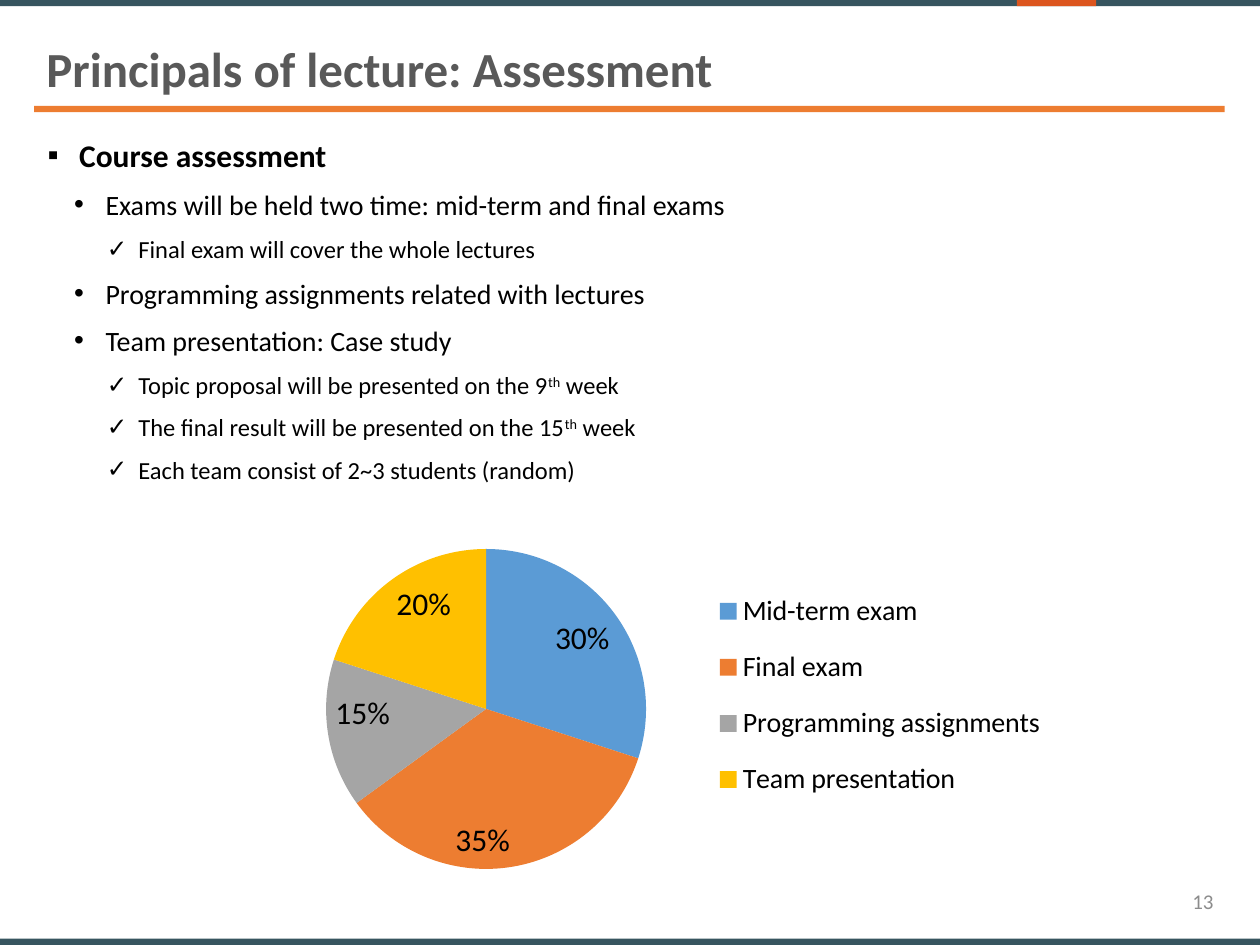
from dataclasses import dataclass

from lxml import etree
from pptx import Presentation
from pptx.chart.data import CategoryChartData
from pptx.dml.color import RGBColor
from pptx.enum.chart import XL_CHART_TYPE, XL_LABEL_POSITION, XL_LEGEND_POSITION
from pptx.enum.shapes import MSO_SHAPE
from pptx.enum.text import MSO_ANCHOR, PP_ALIGN
from pptx.oxml.ns import qn
from pptx.util import Inches, Pt

RECTANGLE = MSO_SHAPE.RECTANGLE
PIE = XL_CHART_TYPE.PIE
INSIDE_END = XL_LABEL_POSITION.INSIDE_END
LEGEND_RIGHT = XL_LEGEND_POSITION.RIGHT
TOP, MIDDLE = MSO_ANCHOR.TOP, MSO_ANCHOR.MIDDLE
LEFT, RIGHT = PP_ALIGN.LEFT, PP_ALIGN.RIGHT

FONT = "Calibri"
COLORS = {
    "teal": "37555F",
    "red": "DC551E",
    "orange": "ED7D31",
    "title": "595959",
    "text": "000000",
    "number": "8C8C8C",
    "blue": "5B9BD5",
    "gray": "A5A5A5",
    "yellow": "FFC000",
}


@dataclass
class Box:
    left: float
    top: float
    width: float
    height: float

    def lengths(self):
        return [Inches(v) for v in (self.left, self.top, self.width, self.height)]


@dataclass
class Bar:
    box: Box
    color: str


@dataclass
class Level:
    bullet: str
    bullet_font: str
    indent: float
    size: int
    before: int
    bold: bool = False


@dataclass
class Item:
    level: int
    text: str
    superscript: str = ""
    tail: str = ""


@dataclass
class Slice:
    name: str
    value: int
    color: str


BARS = [
    Bar(Box(-0.51, -0.01, 10.99, 0.06), "teal"),
    Bar(Box(8.07, -0.01, 0.63, 0.06), "red"),
    Bar(Box(-0.51, 7.45, 10.99, 0.06), "teal"),
    Bar(Box(0.27, 0.84, 9.45, 0.05), "orange"),
]
LEVELS = [
    Level("▪", "Arial", 0.25, 18, 10, True),
    Level("•", "Arial", 0.46, 16, 5),
    Level("✓", "Arial", 0.72, 14, 5),
]
ITEMS = [
    Item(0, "Course assessment"),
    Item(1, "Exams will be held two time: mid-term and final exams"),
    Item(2, "Final exam will cover the whole lectures"),
    Item(1, "Programming assignments related with lectures"),
    Item(1, "Team presentation: Case study"),
    Item(2, "Topic proposal will be presented on the 9", "th", " week"),
    Item(2, "The final result will be presented on the 15", "th", " week"),
    Item(2, "Each team consist of 2~3 students (random)"),
]
SLICES = [
    Slice("Mid-term exam", 30, "blue"),
    Slice("Final exam", 35, "orange"),
    Slice("Programming assignments", 15, "gray"),
    Slice("Team presentation", 20, "yellow"),
]


def rgb(name: str) -> RGBColor:
    return RGBColor.from_string(COLORS[name])


def style_font(font, size: int, color: str, bold: bool = False) -> None:
    font.name = FONT
    font.size = Pt(size)
    font.bold = bold
    font.color.rgb = rgb(color)


def add_bar(s, bar: Bar) -> None:
    sp = s.shapes.add_shape(RECTANGLE, *bar.box.lengths())
    sp.shadow.inherit = False
    sp.fill.solid()
    sp.fill.fore_color.rgb = rgb(bar.color)
    sp.line.fill.background()


def add_text_frame(s, box: Box, anchor=TOP):
    tf = s.shapes.add_textbox(*box.lengths()).text_frame
    tf.word_wrap = True
    tf.vertical_anchor = anchor
    return tf


def add_line(s, box: Box, text: str, size: int, color: str, bold=False, align=LEFT, anchor=TOP) -> None:
    p = add_text_frame(s, box, anchor).paragraphs[0]
    p.text = text
    p.alignment = align
    p.line_spacing = 0.9 if bold else 1.0
    style_font(p.runs[0].font, size, color, bold)


def set_bullet(p, level: Level) -> None:
    pPr = p._p.get_or_add_pPr()
    pPr.set("marL", str(Inches(level.indent)))
    pPr.set("indent", str(-Inches(0.25)))
    etree.SubElement(pPr, qn("a:buFont")).set("typeface", level.bullet_font)
    etree.SubElement(pPr, qn("a:buChar")).set("char", level.bullet)


def add_items(s, box: Box, items: list[Item]) -> None:
    tf = add_text_frame(s, box)
    for i, item in enumerate(items):
        level = LEVELS[item.level]
        p = tf.add_paragraph() if i else tf.paragraphs[0]
        p.level = item.level
        p.line_spacing = 1.14
        p.space_before = Pt(level.before)
        set_bullet(p, level)
        for text in filter(None, (item.text, item.superscript, item.tail)):
            r = p.add_run()
            r.text = text
            style_font(r.font, level.size, "text", level.bold)
            if text == item.superscript:
                r._r.get_or_add_rPr().set("baseline", "30000")


def set_layout(parent, index: int, box: Box, inner: bool = False) -> None:
    for old in parent.findall(qn("c:layout")):
        parent.remove(old)
    layout = etree.Element(qn("c:layout"))
    parent.insert(index, layout)
    manual = etree.SubElement(layout, qn("c:manualLayout"))
    values = [("layoutTarget", "inner")] if inner else []
    values += [("xMode", "edge"), ("yMode", "edge")]
    values += [("x", box.left), ("y", box.top), ("w", box.width), ("h", box.height)]
    for tag, value in values:
        etree.SubElement(manual, qn(f"c:{tag}")).set("val", str(value))


def add_pie(s, box: Box, slices: list[Slice]) -> None:
    data = CategoryChartData()
    data.categories = [sl.name for sl in slices]
    data.add_series("Series 1", [sl.value for sl in slices])
    chart = s.shapes.add_chart(PIE, *box.lengths(), data).chart
    chart.has_title = False
    style_font(chart.font, 18, "text")
    chart.has_legend = True
    legend = chart.legend
    legend.position = LEGEND_RIGHT
    legend.include_in_layout = False
    style_font(legend.font, 16, "text")
    plot = chart.plots[0]
    plot.vary_by_categories = True
    for i, sl in enumerate(slices):
        fill = plot.series[0].points[i].format.fill
        fill.solid()
        fill.fore_color.rgb = rgb(sl.color)
    plot.has_data_labels = True
    labels = plot.data_labels
    labels.show_value = False
    labels.show_percentage = True
    labels.number_format = "0%"
    labels.number_format_is_linked = False
    labels.position = INSIDE_END
    style_font(labels.font, 18, "text")
    plot_area = chart.element.find(".//" + qn("c:plotArea"))
    set_layout(plot_area, 0, Box(0.17, 0.12, 0.35, 0.83), inner=True)
    set_layout(chart.element.find(".//" + qn("c:legend")), 1, Box(0.59, 0.18, 0.37, 0.64))


def main() -> None:
    prs = Presentation()
    prs.slide_width, prs.slide_height = Inches(10), Inches(7.5)
    s = prs.slides.add_slide(prs.slide_layouts[6])
    for bar in BARS:
        add_bar(s, bar)
    add_items(s, Box(0.28, 0.99, 9.44, 6.34), ITEMS)
    add_line(s, Box(0.27, 0.31, 9.45, 0.53), "Principals of lecture: Assessment", 28, "title", bold=True)
    add_line(s, Box(7.48, 6.95, 2.25, 0.4), "13", 12, "number", align=RIGHT, anchor=MIDDLE)
    add_pie(s, Box(1.35, 3.99, 7.27, 3.06), SLICES)
    prs.save("out.pptx")


if __name__ == "__main__":
    main()
